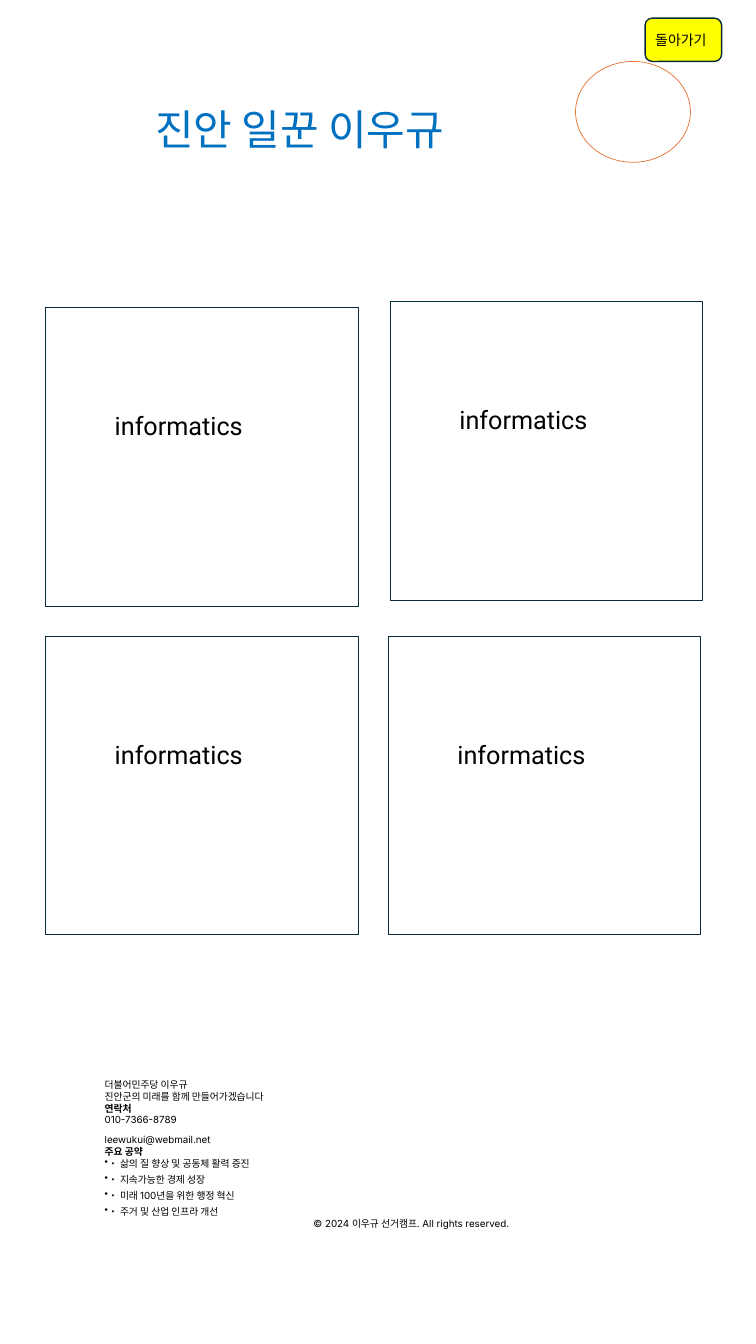
from lxml.etree import SubElement
from pptx import Presentation
from pptx.dml.color import RGBColor
from pptx.enum.shapes import MSO_SHAPE as Shape
from pptx.enum.text import MSO_ANCHOR as Anchor, PP_ALIGN as Align
from pptx.oxml.ns import qn
from pptx.util import Emu, Pt

PX = 9144  # 100 px to the inch
WIDTH, HEIGHT = 750, 1333
BLACK, NAVY, BLUE = "000000", "092A39", "0070C0"
ORANGE, YELLOW = "E97132", "FFFF00"


def color(hex_code):
    return RGBColor.from_string(hex_code)


def px(*lengths):
    return [Emu(length * PX) for length in lengths]


class Page:
    display_font, body_font = "Roboto", "Inter"

    def __init__(self, deck):
        self.slide = deck.slides.add_slide(deck.slide_layouts[6])

    def outline(self, kind, box, line, weight, fill=None):
        shape = self.slide.shapes.add_shape(kind, *px(*box))
        shape.shadow.inherit = False
        if fill:
            shape.fill.solid()
            shape.fill.fore_color.rgb = color(fill)
        else:
            shape.fill.background()
        shape.line.color.rgb = color(line)
        shape.line.width = Pt(weight)
        return shape

    def set_text(self, paragraph, text, size, font, ink=BLACK, bold=False):
        paragraph.text = text
        paragraph.font.size = Pt(size)
        paragraph.font.name = font
        paragraph.font.bold = bold
        paragraph.font.color.rgb = color(ink)

    def text_box(self, box):
        frame = self.slide.shapes.add_textbox(*px(*box)).text_frame
        frame.word_wrap = True
        return frame

    def label(self, box, text, size, ink=BLACK):
        first = self.text_box(box).paragraphs[0]
        self.set_text(first, text, size, self.display_font, ink)

    def button(self, box, text):
        frame = self.outline(Shape.ROUNDED_RECTANGLE, box, NAVY, 1, YELLOW).text_frame
        frame.margin_left, frame.margin_right = px(8, 0)
        frame.vertical_anchor = Anchor.MIDDLE
        frame.paragraphs[0].alignment = Align.LEFT
        self.set_text(frame.paragraphs[0], text, 10, self.display_font)

    def card(self, left, top, text):
        self.outline(Shape.RECTANGLE, (left, top, 310, 296), NAVY, 0.25)
        self.label((left + 59, top + 97, 230, 40), text, 18)

    def footer(self, box, lines):
        frame = self.text_box(box)
        for index, (text, style, space) in enumerate(lines):
            paragraph = frame.add_paragraph() if index else frame.paragraphs[0]
            self.set_text(paragraph, text, 7, self.body_font, bold=style == "heading")
            paragraph.space_before = Pt(space)
            paragraph.alignment = Align.CENTER if style == "center" else Align.LEFT
            if style == "bullet":
                # The bullet mark must precede the default run properties
                properties = paragraph._p.get_or_add_pPr()
                bullet = SubElement(properties, qn("a:buChar"))
                bullet.set("char", "•")
                properties.find(qn("a:defRPr")).addprevious(bullet)


def main():
    deck = Presentation()
    deck.slide_width, deck.slide_height = px(WIDTH, HEIGHT)
    page = Page(deck)

    # Header
    page.label((144, 98, 484, 61), "진안 일꾼 이우규", 30, BLUE)
    page.outline(Shape.OVAL, (571, 61, 114, 100), ORANGE, 0.5)
    page.button((640, 18, 76, 43), "돌아가기")

    # Cards
    for left, top in [(45, 305), (387, 299), (45, 631), (385, 631)]:
        page.card(left, top, "informatics")

    # Contact, pledges and copyright: text, style, space before
    page.footer((94, 1065, 628, 161), [
        ("더불어민주당 이우규", "plain", 0),
        ("진안군의 미래를 함께 만들어가겠습니다", "plain", 0),
        ("연락처", "heading", 0),
        ("010-7366-8789", "plain", 0),
        ("leewukui@webmail.net", "plain", 6),
        ("주요 공약", "heading", 0),
        ("• 삶의 질 향상 및 공동체 활력 증진", "bullet", 0),
        ("• 지속가능한 경제 성장", "bullet", 3),
        ("• 미래 100년을 위한 행정 혁신", "bullet", 3),
        ("• 주거 및 산업 인프라 개선", "bullet", 3),
        ("© 2024 이우규 선거캠프. All rights reserved.", "center", 0),
    ])

    deck.save("out.pptx")


if __name__ == "__main__":
    main()
